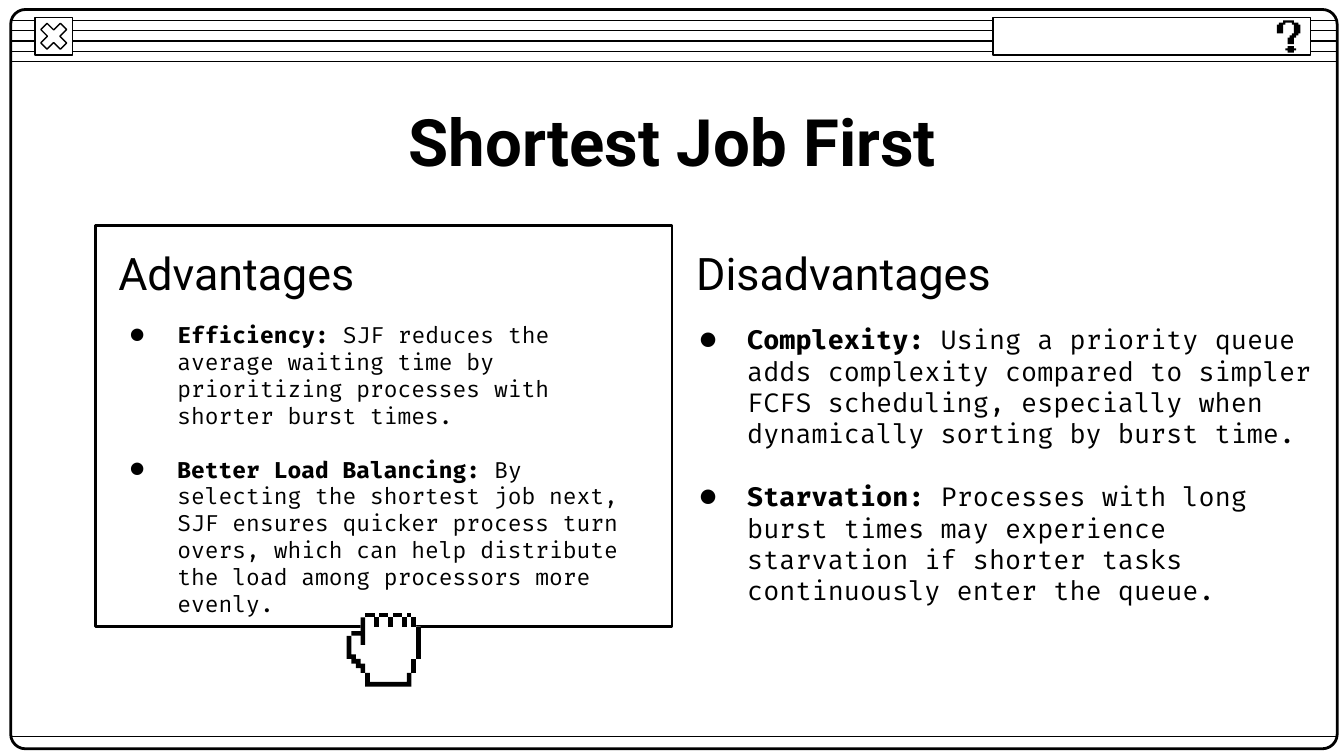
from lxml.etree import SubElement
from pptx import Presentation
from pptx.dml.color import RGBColor
from pptx.enum.shapes import MSO_CONNECTOR, MSO_SHAPE as PRESET
from pptx.enum.text import MSO_ANCHOR, MSO_AUTO_SIZE, PP_ALIGN
from pptx.oxml.ns import qn
from pptx.util import Inches, Pt

hex_color = RGBColor.from_string
BLACK, WHITE = "000000", "FFFFFF"


def paint(shape, fill=None, weight=0):
    shape.shadow.inherit = False
    if fill:
        shape.fill.solid()
        shape.fill.fore_color.rgb = hex_color(fill)
    else:
        shape.fill.background()
    if weight:
        shape.line.color.rgb = hex_color(BLACK)
        shape.line.width = Pt(weight)
    else:
        shape.line.fill.background()


def write(paragraph, text, size=12, font="Fira Code", bold=False, align=PP_ALIGN.LEFT, before=0):
    paragraph.alignment = align
    paragraph.line_spacing = 1.0
    paragraph.space_before, paragraph.space_after = Pt(before), Pt(0)
    run = paragraph.add_run()
    run.text = text
    run.font.size, run.font.name, run.font.bold = Pt(size), font, bold
    run.font.color.rgb = hex_color(BLACK)


deck = Presentation()
deck.slide_width, deck.slide_height = Inches(10), Inches(5.625)
COL, ROW = deck.slide_width / 100, deck.slide_height / 100
slide = deck.slides.add_slide(deck.slide_layouts[4])
shapes = slide.shapes

title, advantages_head, advantages, disadvantages_head, disadvantages = slide.placeholders
for area, left, top, width, height in [
    (title, 7.9, 13, 84.3, 11.2),
    (advantages_head, 7.8, 31.1, 41.4, 9.8),
    (advantages, 7.2, 41.6, 42.7, 40.9),
    (disadvantages_head, 50.8, 31.1, 41.4, 9.8),
    (disadvantages, 49.6, 35.55, 49.4, 51.9),
]:
    area.left, area.top = int(left * COL), int(top * ROW)
    area.width, area.height = int(width * COL), int(height * ROW)
    frame = area.text_frame
    frame.word_wrap, frame.auto_size = True, MSO_AUTO_SIZE.NONE
    frame.vertical_anchor = MSO_ANCHOR.MIDDLE
    frame.margin_left = frame.margin_right = Inches(0.1)
    frame.margin_top = frame.margin_bottom = Inches(0.1)

write(title.text_frame.paragraphs[0], "Shortest Job First", size=35, font="Roboto",
      bold=True, align=PP_ALIGN.CENTER)
for head, words in [(advantages_head, "Advantages"), (disadvantages_head, "Disadvantages")]:
    write(head.text_frame.paragraphs[0], words, size=24, font="Roboto")

for points, size, items in [
    (advantages, 12, [
        ("Efficiency:", " SJF reduces the average waiting time by prioritizing processes "
                        "with shorter burst times."),
        ("Better Load Balancing:", " By selecting the shortest job next, SJF ensures quicker "
                                   "process turn overs, which can help distribute the load "
                                   "among processors more evenly."),
    ]),
    (disadvantages, 14, [
        ("Complexity:", " Using a priority queue adds complexity compared to simpler FCFS "
                        "scheduling, especially when dynamically sorting by burst time."),
        ("Starvation:", " Processes with long burst times may experience starvation if "
                        "shorter tasks continuously enter the queue."),
    ]),
]:
    for number, (term, explanation) in enumerate(items):
        frame = points.text_frame
        point = frame.add_paragraph() if number else frame.paragraphs[0]
        gap = 1.2 * size * number
        write(point, term, size=size, bold=True, before=gap)
        write(point, explanation, size=size, before=gap)
        layout = point._p.get_or_add_pPr()
        layout.set("marL", str(Inches(0.5)))
        layout.set("indent", str(Inches(-0.35)))
        SubElement(SubElement(layout, qn("a:buClr")), qn("a:srgbClr")).set("val", BLACK)
        SubElement(layout, qn("a:buFont")).set("typeface", "Fira Code")
        SubElement(layout, qn("a:buChar")).set("char", "●")

for row in [2.7 + 1.37 * stripe for stripe in range(5)] + [97.4]:
    rule = shapes.add_connector(MSO_CONNECTOR.STRAIGHT, int(0.8 * COL), int(row * ROW),
                                int(99.5 * COL), int(row * ROW))
    rule.line.color.rgb = hex_color(BLACK)
    rule.line.width = Pt(0.75)
    SubElement(rule._element.spPr, qn("a:effectLst"))

for preset, left, top, width, height, fill, weight, bend in [
    (PRESET.ROUNDED_RECTANGLE, 0.8, 1.25, 98.7, 97.8, None, 1.5, 0.02),
    (PRESET.RECTANGLE, 2.6, 2.3, 2.8, 5, WHITE, 0.75, None),
    (PRESET.MATH_MULTIPLY, 2.6, 2.3, 2.8, 5, WHITE, 0.75, 0.235),
    (PRESET.RECTANGLE, 73.9, 2.3, 23.6, 5, WHITE, 0.75, None),
    (PRESET.RECTANGLE, 7.1, 29.85, 42.9, 53, None, 1.5, None),
]:
    panel = shapes.add_shape(preset, int(left * COL), int(top * ROW),
                             int(width * COL), int(height * ROW))
    if bend:
        panel.adjustments[0] = bend
    paint(panel, fill, weight)

question = [
    (BLACK, [(5, 12), (5, 13), (4, 13), (4, 14), (5, 14), (5, 15), (8, 15), (8, 14),
             (9, 14), (9, 13), (8, 13), (8, 12)]),
    (BLACK, [(3, 0), (3, 1), (1, 1), (1, 2), (0, 2), (0, 6), (3, 6), (3, 2), (4, 2), (4, 1),
             (7, 1), (7, 2), (8, 2), (8, 6), (7, 6), (7, 7), (6, 7), (6, 8), (5, 8), (5, 11),
             (8, 11), (8, 8), (9, 8), (9, 7), (10, 7), (10, 6), (11, 6), (11, 2), (10, 2),
             (10, 1), (8, 1), (8, 0)]),
]
hand = [
    (WHITE, [(4, 0), (4, 1), (3, 1), (3, 4), (1, 4), (1, 5), (0, 5), (0, 10), (1, 10), (1, 11),
             (2, 11), (2, 12), (3, 12), (3, 13), (4, 13), (4, 16), (14, 16), (14, 13), (15, 13),
             (15, 10), (16, 10), (16, 3), (15, 3), (15, 1), (14, 1), (14, 0), (13, 0), (13, 1),
             (12, 1), (12, 0), (10, 0), (10, 1), (9, 1), (9, 0), (7, 0), (7, 1), (6, 1), (6, 0)]),
    (BLACK, [(4, 13), (4, 16), (14, 16), (14, 13), (13, 13), (13, 15), (5, 15), (5, 13)]),
    (BLACK, [(3, 1), (3, 4), (1, 4), (1, 5), (3, 5), (3, 7), (4, 7), (4, 1)]),
    (BLACK, [(0, 5), (0, 10), (1, 10), (1, 11), (2, 11), (2, 12), (3, 12), (3, 13), (4, 13),
             (4, 11), (3, 11), (3, 10), (2, 10), (2, 9), (1, 9), (1, 5)]),
]
knuckles = [(x, 1, 1, 2) for x in (6, 9, 12, 14)]
fingertips = [(x, 0, 2, 1) for x in (4, 7, 10)] + [(13, 0, 1, 1)]
for x, y, w, h in knuckles + fingertips + [(15, 3, 1, 7), (14, 10, 1, 3)]:
    hand.append((BLACK, [(x, y), (x, y + h), (x + w, y + h), (x + w, y)]))

for icon, left, top, pixel in [(question, 95, 2.7, 0.16 * COL), (hand, 25.8, 81.05, 0.344 * COL)]:
    for fill, corners in icon:
        outline = shapes.build_freeform(*corners[0], scale=pixel)
        outline.add_line_segments(corners[1:], close=True)
        paint(outline.convert_to_shape(int(left * COL), int(top * ROW)), fill)

deck.save("out.pptx")
